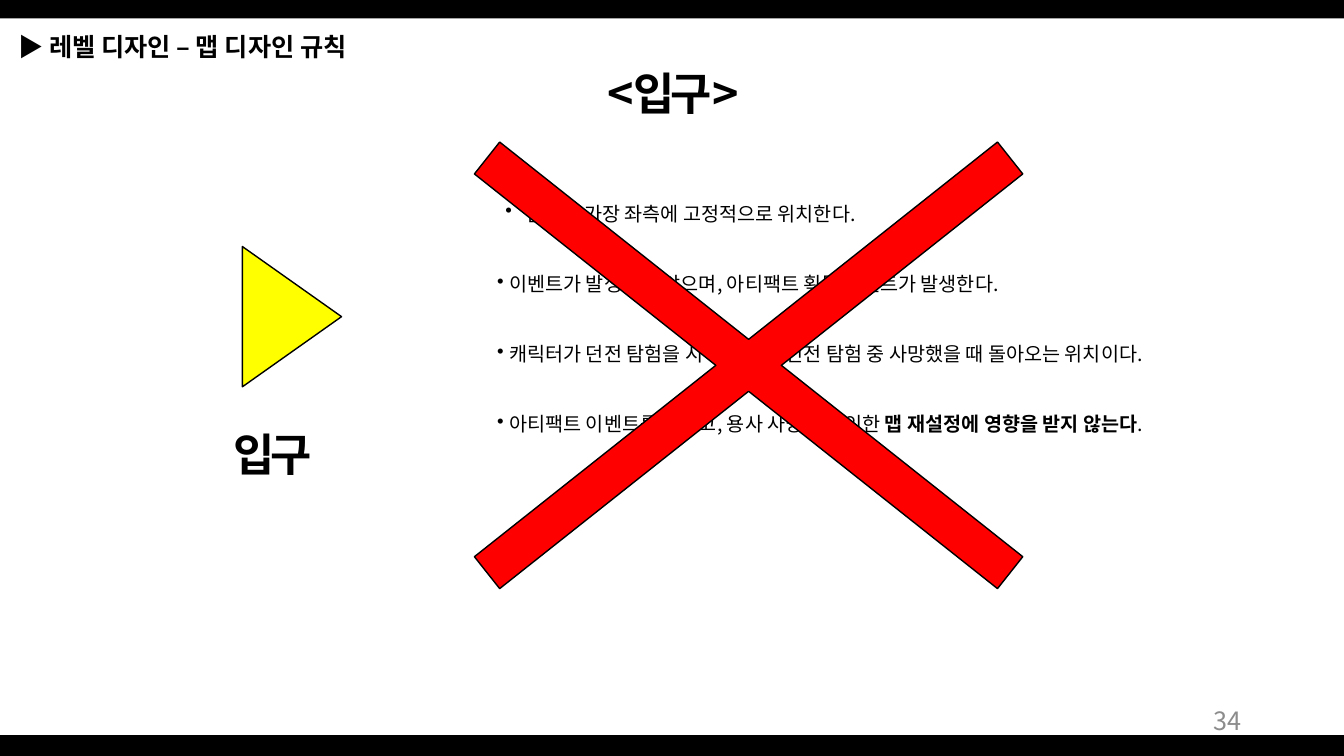
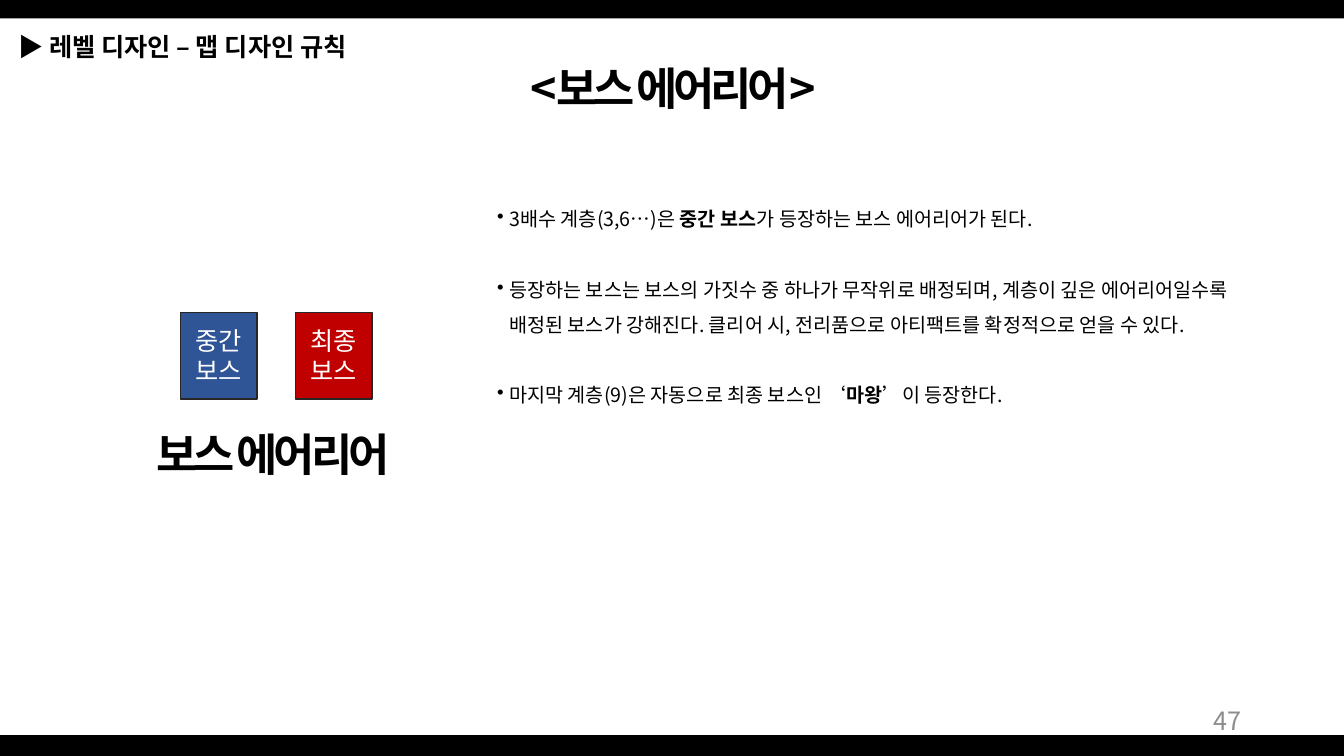
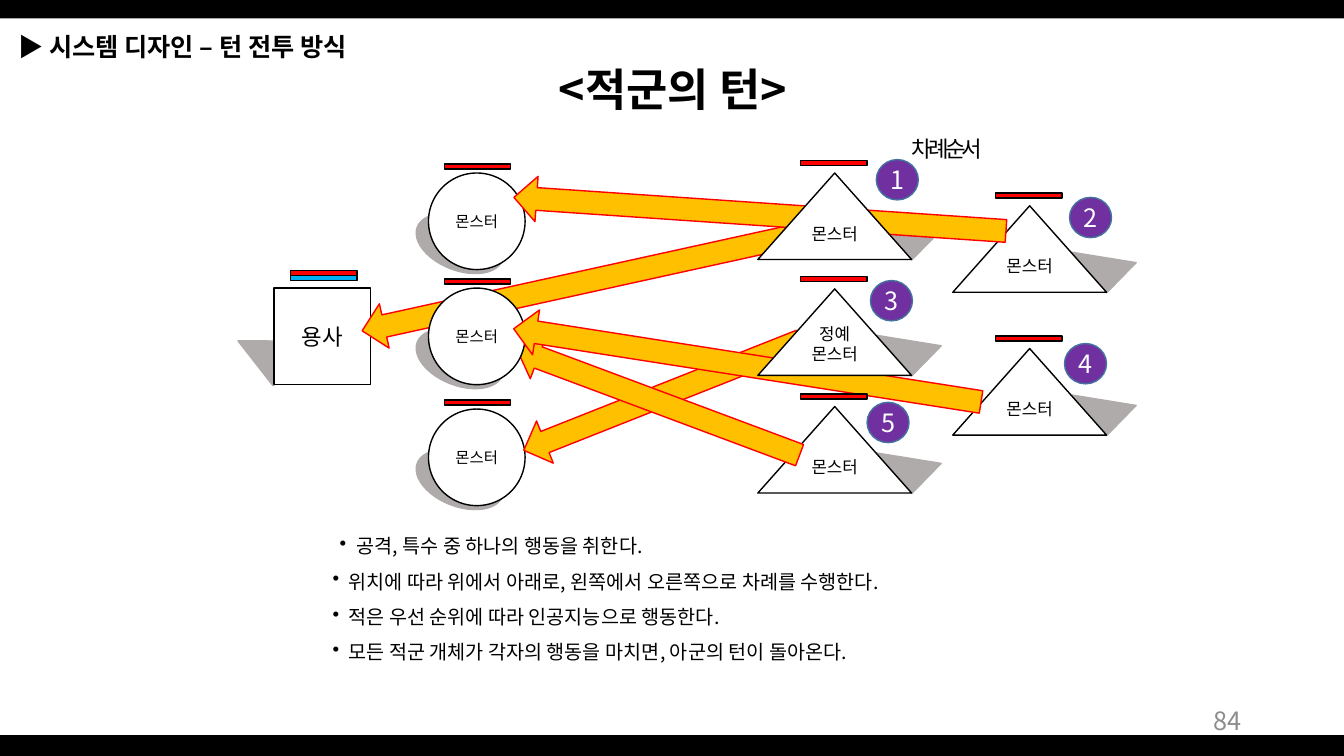
"""Three game-design slides: entrance rules, boss area rules and the enemy turn."""
from lxml import etree
from pptx import Presentation
from pptx import util as u
from pptx.dml.color import RGBColor
from pptx.enum import shapes, text
from pptx.oxml import ns

FONT = "Noto Sans CJK KR"
COLORS = {
    "black": "000000", "white": "FFFFFF", "gray": "8C8C8C", "shade": "AFABAB",
    "yellow": "FFFF00", "red": "FF0000", "blue": "2F5597", "crimson": "C00000",
    "edge": "262626", "mana": "00B0F0", "amber": "FFC000", "purple": "7030A0",
    "rim": "43739E",
}
KINDS = shapes.MSO_SHAPE
ALIGN = text.PP_ALIGN
ANCHOR = text.MSO_ANCHOR

deck = Presentation()
deck.slide_width, deck.slide_height = u.Inches(13.33), u.Inches(7.5)
COLS, ROWS = 160, 90
CELL = deck.slide_height / ROWS


def draw(slide, kind, box, fill, line=None, rot=0, adj=None):
    """Add a preset shape, or a text box when kind is None, on the grid."""
    place = [u.Emu(round(n * CELL)) for n in box]
    if kind is None:
        area = slide.shapes.add_textbox(*place)
        area.text_frame.word_wrap = True
        return area
    area = slide.shapes.add_shape(kind, *place)
    area.shadow.inherit = False
    area.rotation = rot
    area.fill.solid()
    area.fill.fore_color.rgb = RGBColor.from_string(COLORS[fill])
    if line:
        area.line.color.rgb = RGBColor.from_string(COLORS[line])
        area.line.width = u.Pt(1)
    else:
        area.line.fill.background()
    if adj is not None:
        area.adjustments[0] = adj
    frame = area.text_frame
    frame.vertical_anchor = ANCHOR.MIDDLE
    frame.margin_left = frame.margin_right = frame.margin_top = frame.margin_bottom = 0
    return area


def write(area, lines, size, color="black", align=ALIGN.CENTER, bold=None, spacing=0,
          bullets=None, gap=0):
    """Fill a shape with paragraphs; parts between asterisks are bold."""
    frame = area.text_frame
    for i, line in enumerate(lines):
        para = frame.paragraphs[0] if i == 0 else frame.add_paragraph()
        for j, part in enumerate(line.split("*")):
            if part:
                run = para.add_run()
                run.text = part
                if j % 2:
                    run.font.bold = True
        para.alignment = align
        if bullets:
            indent, hang = bullets[min(i, len(bullets) - 1)]
            props = para._p.get_or_add_pPr()
            props.set("marL", str(u.Inches(indent + hang)))
            props.set("indent", str(-u.Inches(hang)))
            etree.SubElement(props, ns.qn("a:buChar")).set("char", "•")
            para.line_spacing = 1.5
            if gap and i:
                para.space_before = u.Pt(gap)
        font = para.font
        font.size, font.bold, font.name = u.Pt(size), bold, FONT
        font.color.rgb = RGBColor.from_string(COLORS[color])
        defaults = para._p.pPr.find(ns.qn("a:defRPr"))
        etree.SubElement(defaults, ns.qn("a:ea")).set("typeface", FONT)
        if spacing:
            defaults.set("spc", str(spacing * 100))


topics = [
    ("레벨 디자인 – 맵 디자인 규칙", "<입구>", 7.2, -3, "34",
     (58, 22, 93.6, 31), [(0.08, 0.2), (0, 0.12)], 25,
     ["던전맵 가장 좌측에 고정적으로 위치한다.",
      "이벤트가 발생하지 않으며, 아티팩트 획득 이벤트가 발생한다.",
      "캐릭터가 던전 탐험을 시작하거나, 던전 탐험 중 사망했을 때 돌아오는 위치이다.",
      "아티팩트 이벤트를 제하고, 용사 사망으로 인한 *맵 재설정에 영향을 받지 않는다*."]),
    ("레벨 디자인 – 맵 디자인 규칙", "<보스 에어리어>", 6.7, -3, "47",
     (58, 22.7, 93.6, 26.6), [(0, 0.12)], 25,
     ["3배수 계층(3,6…)은 *중간 보스*가 등장하는 보스 에어리어가 된다.",
      "등장하는 보스는 보스의 가짓수 중 하나가 무작위로 배정되며, 계층이 깊은 "
      "에어리어일수록 배정된 보스가 강해진다. 클리어 시, 전리품으로 아티팩트를 "
      "확정적으로 얻을 수 있다.",
      "마지막 계층(9)은 자동으로 최종 보스인 ‘*마왕*’이 등장한다."]),
    ("시스템 디자인 – 턴 전투 방식", "<적군의 턴>", 6.8, 0, "84",
     (38.4, 61.6, 97, 17.6), [(0.07, 0.17), (0, 0.16)], 0,
     ["공격, 특수 중 하나의 행동을 취한다.",
      "위치에 따라 위에서 아래로, 왼쪽에서 오른쪽으로 차례를 수행한다.",
      "적은 우선 순위에 따라 인공지능으로 행동한다.",
      "모든 적군 개체가 각자의 행동을 마치면, 아군의 턴이 돌아온다."]),
]
for chapter, title, title_row, spacing, number, rules_box, bullets, gap, rules in topics:
    slide = deck.slides.add_slide(deck.slide_layouts[6])
    for top, height in ((87.5, 2.5), (0, 2.2)):
        draw(slide, KINDS.RECTANGLE, (0, top, COLS, height), "black")
    write(draw(slide, None, (56.8, title_row, 46.6, 7.7), None), [title], 32,
          bold=True, spacing=spacing)
    page = draw(slide, None, (113, 83.4, 36, 4.8), None)
    page.text_frame.vertical_anchor = ANCHOR.MIDDLE
    write(page, [number], 18, "gray", ALIGN.RIGHT)
    write(draw(slide, None, (1, 3.2, 55.8, 4.8), None), [f"▶ *{chapter}*"], 18,
          align=ALIGN.LEFT)
    write(draw(slide, None, rules_box, None), rules, 14, align=ALIGN.LEFT,
          bullets=bullets, gap=gap)

entrance, boss, battle = deck.slides

for slide, caption in ((entrance, "입구"), (boss, "보스 에어리어")):
    write(draw(slide, None, (12.4, 50.2, 40.2, 7.7), None), [caption], 32,
          bold=True, spacing=-3)

draw(entrance, KINDS.ISOSCELES_TRIANGLE, (26.4, 31.8, 16.7, 11.8), "yellow", "black", 90)
draw(entrance, KINDS.MATH_MULTIPLY, (29.2, -4, 119.8, 95), "red", "black", adj=0.051)

for left, rank, fill in ((21.5, "중간", "blue"), (35.2, "최종", "crimson")):
    write(draw(boss, KINDS.RECTANGLE, (left, 37.2, 9.1, 10.3), fill, "edge"),
          [rank, "보스"], 18, "white")

HERO = (32.6, 34.3)
ally_left, ally_size = 51, 11.5
allies = [(20.6, 0), (34.3, 2), (48.7, 0)]
foes = [
    (90.2, 20.6, 104.3, 19, 2, ["몬스터"], 1.9),
    (113.4, 24.5, 127.3, 23.5, 0, ["몬스터"], 1.9),
    (90.2, 34.4, 103.6, 33.4, 4, ["정예", "몬스터"], 1.4),
    (113.4, 41.5, 126.7, 40.9, 0, ["몬스터"], 1.9),
    (90.2, 48.4, 103.2, 47.9, 0, ["몬스터"], 1.9),
]
attacks = [
    (42.5, 31.1, 52, 347.6, 1),
    (61.1, 22.8, 58.7, 3.9, 1),
    (61.1, 44.4, 35.4, 338.4, 1),
    (60.4, 45.2, 35.9, 20.5, 1),
    (60.8, 40.8, 56.3, 8.9, 3),
]

draw(battle, KINDS.ISOSCELES_TRIANGLE, (29.5, 37.2, 8.6, 6.8), "shade", "shade", 322, 0)
for top, layer in allies:
    draw(battle, KINDS.OVAL, (ally_left - 1.7, top + 5.2, 10.9, 6.4), "shade", "shade", 21.1)
for left, top, *rest in foes:
    draw(battle, KINDS.ISOSCELES_TRIANGLE, (left + 14.9, top + 3.8, 6.4, 5),
         "shade", "shade", 49, 0.937)

pieces = [(0, KINDS.RECTANGLE, (*HERO, ally_size, ally_size), 0, ["용사"], 16, 0)]
pieces += [(layer, KINDS.OVAL, (ally_left, top, ally_size, ally_size), 0, ["몬스터"], 11, 0)
           for top, layer in allies]
pieces += [(layer, KINDS.ISOSCELES_TRIANGLE, (left, top, 18.3, 10.3), 0, names, 12, foot)
           for left, top, _, _, layer, names, foot in foes]
pieces += [(layer, KINDS.LEFT_ARROW, (left, top, width, 5.4), rot, [], 0, 0)
           for left, top, width, rot, layer in attacks]
for layer, kind, box, rot, names, size, foot in sorted(pieces, key=lambda piece: piece[0]):
    fill, line = ("white", "black") if names else ("amber", "red")
    piece = draw(battle, kind, box, fill, line, rot)
    write(piece, names, size)
    if foot:
        piece.text_frame.vertical_anchor = ANCHOR.BOTTOM
        piece.text_frame.margin_bottom = u.Emu(round(foot * CELL))

gauges = [(HERO[0] + 2, HERO[1] - 2.1, "red"), (HERO[0] + 2, HERO[1] - 1.5, "mana")]
gauges += [(ally_left + 1.9, top - 1.1, "red") for top, layer in allies]
gauges += [(left + 5.1, top - 1.5, "red") for left, top, *rest in foes]
for left, top, fill in gauges:
    draw(battle, KINDS.RECTANGLE, (left, top, 7.9, 0.6), fill, "black")

for turn, (_, _, left, top, *rest) in enumerate(foes, 1):
    write(draw(battle, KINDS.OVAL, (left, top, 5, 4.8), "purple", "rim"),
          [str(turn)], 18, "white")
write(draw(battle, None, (106.9, 15.5, 11.6, 4.4), None), ["차례 순서"], 16, spacing=-3)

deck.save("out.pptx")
